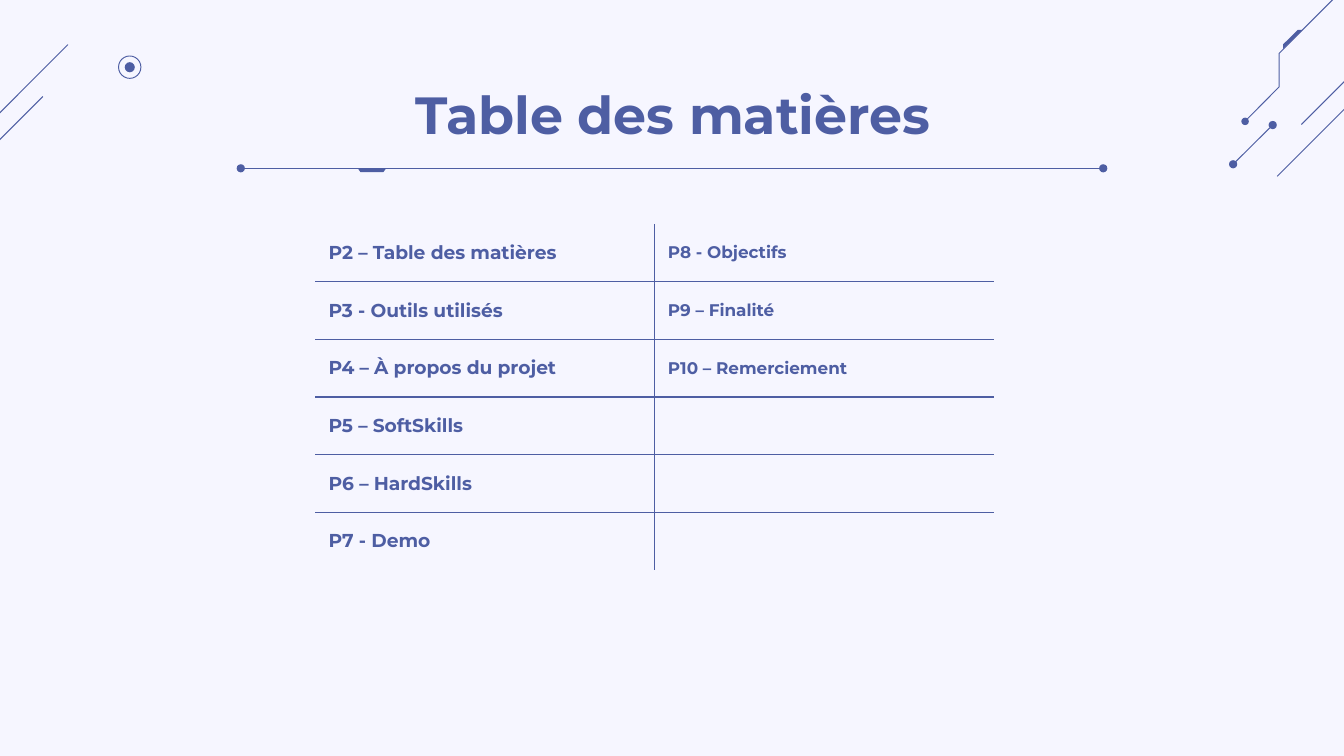
from dataclasses import dataclass
from itertools import product

from lxml import etree
from pptx import Presentation
from pptx.dml.color import RGBColor
from pptx.enum import shapes, text
from pptx.oxml import ns
from pptx.util import Pt


@dataclass(frozen=True)
class Theme:
    ink: RGBColor = RGBColor(0x4E, 0x5E, 0xA3)
    paper: RGBColor = RGBColor(0xF6, 0xF6, 0xFF)
    font: str = "Montserrat"
    title: float = 28
    left_entry: float = 10
    right_entry: float = 9
    rule: float = 0.75
    hairline: float = 0.5


@dataclass(frozen=True)
class Box:
    left: float
    top: float
    width: float
    height: float

    def at(self, x, y):
        return self.left + x, self.top + y


THEME = Theme()
ENTRIES = [
    ("P2 – Table des matières", "P8 - Objectifs"),
    ("P3 - Outils utilisés", "P9 – Finalité"),
    ("P4 – À propos du projet", "P10 – Remerciement"),
    ("P5 – SoftSkills", ""),
    ("P6 – HardSkills", ""),
    ("P7 - Demo", ""),
]


def write(frame, words, size, align=text.PP_ALIGN.LEFT, after=0):
    para = frame.paragraphs[0]
    para.alignment = align
    para.space_after = Pt(after)
    span = para.add_run()
    span.text = words
    span.font.name = THEME.font
    span.font.size = Pt(size)
    span.font.bold = True
    span.font.color.rgb = THEME.ink


def draw_line(page, start, end, width=THEME.hairline):
    line = page.shapes.add_connector(
        shapes.MSO_CONNECTOR.STRAIGHT, *(Pt(v) for v in (*start, *end)))
    line.line.color.rgb = THEME.ink
    line.line.width = Pt(width)
    etree.SubElement(line._element.spPr, ns.qn("a:effectLst"))


def paint(shape, filled):
    """Fill the shape, or give it a thin outline only."""
    shape.shadow.inherit = False
    if filled:
        shape.fill.solid()
        shape.fill.fore_color.rgb = THEME.ink
        shape.line.fill.background()
    else:
        shape.fill.background()
        shape.line.color.rgb = THEME.ink
        shape.line.width = Pt(THEME.hairline)


def draw_dot(page, centre, radius, filled=True):
    x, y = centre
    dot = page.shapes.add_shape(
        shapes.MSO_SHAPE.OVAL, Pt(x - radius), Pt(y - radius),
        Pt(2 * radius), Pt(2 * radius))
    paint(dot, filled)


def draw_path(page, points, closed):
    """Draw a filled polygon when closed, otherwise a thin open path."""
    first, *rest = [(Pt(x), Pt(y)) for x, y in points]
    builder = page.shapes.build_freeform(*first)
    builder.add_line_segments(rest, close=closed)
    paint(builder.convert_to_shape(), closed)


def add_slanted_pair(page, box):
    """Two parallel diagonals, the lower one shifted to the left."""
    side = 42.8
    for x, y in ((box.width - side, 0), (0, box.height - side)):
        draw_line(page, box.at(x, y + side), box.at(x + side, y))


def add_circuit(page, box):
    """A bent trace and a short link, both ending in dots."""
    trace = [(6.4, 77), (24.7, 58.6), (24.7, 40.6), (65.2, 0)]
    draw_path(page, [box.at(*point) for point in trace], closed=False)
    draw_dot(page, box.at(*trace[0]), 2)
    bar = [(26.8, 38.3), (37.2, 28), (34.6, 28), (26.8, 35.8)]
    draw_path(page, [box.at(*point) for point in bar], closed=True)

    link = box.at(0, 100), box.at(21.2, 79)
    draw_line(page, *link)
    for end in link:
        draw_dot(page, end, 2.2)


def add_target(page, box):
    centre = box.at(box.width / 2, box.height / 2)
    draw_dot(page, centre, box.width / 2, filled=False)
    draw_dot(page, centre, 2.7)


def add_title(page, box, words):
    title = page.shapes.add_textbox(
        Pt(box.left), Pt(box.top), Pt(box.width), Pt(box.height))
    frame = title.text_frame
    frame.word_wrap = True
    frame.margin_top = frame.margin_bottom = 0
    frame.vertical_anchor = text.MSO_ANCHOR.TOP
    write(frame, words, THEME.title, align=text.PP_ALIGN.CENTER)


def add_divider(page, box):
    """A rule with a dot at each end and a small tab hanging below it."""
    middle = box.height / 2
    ends = box.at(0, middle), box.at(box.width, middle)
    tab = [(62.7, 0), (77.8, 0), (76.4, 2), (64.1, 2)]
    draw_path(page, [box.at(x, middle + y) for x, y in tab], closed=True)
    draw_line(page, *ends, width=THEME.rule)
    for end in ends:
        draw_dot(page, end, middle)


def set_borders(cell, visible):
    """Rule the sides named in visible (L, R, T, B) and clear the others."""
    props = cell._tc.get_or_add_tcPr()
    for place, side in enumerate("LRTB"):
        border = etree.Element(ns.qn(f"a:ln{side}"), w=str(Pt(THEME.rule)))
        if side in visible:
            fill = etree.SubElement(border, ns.qn("a:solidFill"))
            etree.SubElement(fill, ns.qn("a:srgbClr"), val=str(THEME.ink))
        else:
            etree.SubElement(border, ns.qn("a:noFill"))
        props.insert(place, border)


def add_contents(page, box, entries):
    """A grid with inner rules only."""
    rows, columns = len(entries), len(entries[0])
    table = page.shapes.add_table(
        rows, columns, Pt(box.left), Pt(box.top),
        Pt(box.width), Pt(box.height)).table
    table.first_row = table.horz_banding = False
    for row in table.rows:
        row.height = Pt(box.height / rows)

    for r, c in product(range(rows), range(columns)):
        cell = table.cell(r, c)
        cell.fill.background()
        cell.margin_top = cell.margin_bottom = 0
        cell.vertical_anchor = text.MSO_ANCHOR.MIDDLE
        inner = {"L": c > 0, "R": c < columns - 1,
                 "T": r > 0, "B": r < rows - 1}
        set_borders(cell, [side for side, shown in inner.items() if shown])
        if entries[r][c]:
            size = THEME.right_entry if c else THEME.left_entry
            write(cell.text_frame, entries[r][c], size, after=16 if c else 0)


def main():
    deck = Presentation()
    deck.slide_width, deck.slide_height = Pt(720), Pt(405)
    page = deck.slides.add_slide(deck.slide_layouts[6])
    page.background.fill.solid()
    page.background.fill.fore_color.rgb = THEME.paper

    add_slanted_pair(page, Box(684.2, 23.9, 55.8, 70.6))
    add_circuit(page, Box(660.6, -12, 65.2, 102))
    add_target(page, Box(63.5, 30, 12, 12))
    add_slanted_pair(page, Box(-19.8, 23.9, 56.2, 70.6))
    add_title(page, Box(61.9, 43.9, 596.9, 41), "Table des matières")
    add_contents(page, Box(168.8, 120, 363.6, 185.4), ENTRIES)
    add_divider(page, Box(129, 88, 462, 4.4))
    deck.save("out.pptx")


if __name__ == "__main__":
    main()
